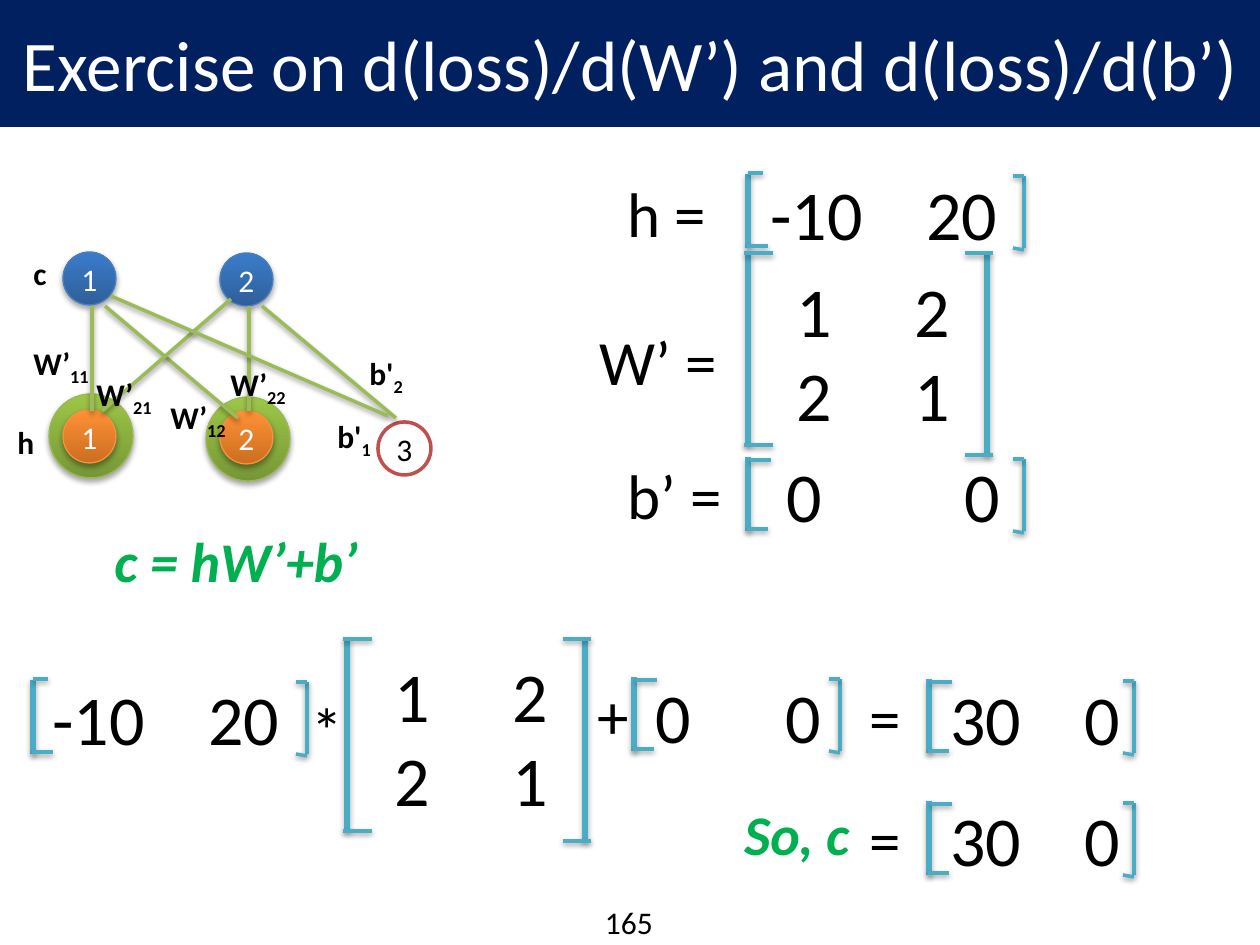
from lxml import etree
from pptx import Presentation
from pptx.dml.color import RGBColor
from pptx.enum.shapes import MSO_CONNECTOR, MSO_SHAPE
from pptx.enum.text import MSO_ANCHOR, MSO_AUTO_SIZE, PP_ALIGN
from pptx.oxml import parse_xml
from pptx.oxml.ns import nsdecls, qn
from pptx.util import Emu, Pt

STRAIGHT = MSO_CONNECTOR.STRAIGHT
OVAL = MSO_SHAPE.OVAL
MIDDLE = MSO_ANCHOR.MIDDLE
NO_AUTOSIZE = MSO_AUTO_SIZE.NONE
CENTER, LEFT = PP_ALIGN.CENTER, PP_ALIGN.LEFT

PX = 914400 // 126
FONT = "Calibri"
COLORS = {
    "navy": "002060", "white": "FFFFFF", "black": "000000", "formula": "00B050",
    "edge": "9BBB59", "bracket": "4BACC6", "bias": "C0504D",
}
# gradient start, gradient end, outline
NODE_STYLES = {
    "halo": ("779737", "9DC746", "98B955"),
    "output": ("2F5F99", "3A7CCB", "4B7EBC"),
    "hidden": ("CC6E20", "FF9136", "F69240"),
}

TITLE = "Exercise on d(loss)/d(W’) and d(loss)/d(b’)"

# style, text, left, top, diameter
NODES = [
    ("halo", "", 206, 397, 84),
    ("halo", "", 49, 394, 84),
    ("output", "1", 63, 252, 53),
    ("output", "2", 220, 253, 53),
    ("hidden", "1", 63, 410, 53),
    ("hidden", "2", 220, 411, 53),
    ("bias", "3", 378, 422, 53),
]
EDGES = [
    (92, 306, 92, 411), (249, 306, 249, 411), (262, 306, 396, 418),
    (105, 306, 238, 418), (231, 299, 102, 411), (111, 296, 388, 416),
]
# text, subscript, left, top, width
NODE_LABELS = [
    ("W’", "11", 21, 338, 86), ("W’", "21", 84, 369, 86),
    ("W’", "12", 158, 392, 86), ("W’", "22", 218, 359, 86),
    ("b'", "1", 325, 411, 62), ("b'", "2", 357, 348, 62),
    ("h", "", 5, 417, 44), ("c", "", 21, 248, 40),
]
# text, left, top, width
TERMS = [
    ("h =", 615, 168, 108), ("W’ =", 587, 316, 148), ("b’ =", 615, 450, 124),
    ("*", 299, 684, 58), ("+", 585, 670, 58),
    ("=", 857, 672, 58), ("=", 857, 794, 58),
]
FORMULAS = [("c = hW’+b’", 102, 520, 298), ("So, c", 732, 793, 200)]

# values, text left, text top, tab, bracket left, right, top, top tick (start, end, drop)
LONG_TICK, SHORT_TICK = (2, 23, 3), (0, 15, -1)
VECTORS = [
    (("-10", "20"), 758, 164, 156, 748, 1024, 174, SHORT_TICK),
    (("0", "0"), 774, 446, 178, 748, 1024, 457, LONG_TICK),
    (("-10", "20"), 40, 669, 156, 33, 307, 680, SHORT_TICK),
    (("0", "0"), 643, 667, 130, 634, 840, 677, LONG_TICK),
    (("30", "0"), 938, 669, 134, 929, 1134, 679, LONG_TICK),
    (("30", "0"), 938, 790, 134, 929, 1134, 801, LONG_TICK),
]
MATRIX = [("1", "2"), ("2", "1")]
MATRIX_TAB = 118
# text left, text top, bracket left, right, top
MATRIX_PLACES = [(784, 261, 748, 987, 253), (382, 646, 347, 585, 639)]


def px(*values):
    return [Emu(value * PX) for value in values]


def rgb(name):
    return RGBColor.from_string(COLORS.get(name, name))


def add_run(paragraph, text, size, color="black", bold=False, italic=False):
    run = paragraph.add_run()
    run.text = text
    font = run.font
    font.name, font.size, font.bold, font.italic = FONT, Pt(size), bold, italic
    font.color.rgb = rgb(color)
    return run


def add_text(slide, lines, left, top, width, height, size, tab=None, align=LEFT, **style):
    box = slide.shapes.add_textbox(*px(left, top, width, height))
    frame = box.text_frame
    frame.word_wrap = True
    for index, line in enumerate(lines):
        paragraph = frame.paragraphs[0] if index == 0 else frame.add_paragraph()
        paragraph.alignment = align
        if tab:
            paragraph._p.get_or_add_pPr().append(parse_xml(
                f'<a:tabLst {nsdecls("a")}><a:tab pos="{tab * PX}" algn="l"/></a:tabLst>'))
        add_run(paragraph, line, size, **style)
    return box


def add_shadow(shape, distance, opacity):
    properties = shape._element.spPr
    effects = properties.find(qn("a:effectLst"))
    if effects is None:
        effects = etree.SubElement(properties, qn("a:effectLst"))
    effects.append(parse_xml(
        f'<a:outerShdw {nsdecls("a")} blurRad="40000" dist="{distance}" dir="5400000" '
        f'rotWithShape="0"><a:srgbClr val="000000"><a:alpha val="{opacity}000"/>'
        '</a:srgbClr></a:outerShdw>'))


def add_line(slide, x1, y1, x2, y2, color="bracket", width=2):
    line = slide.shapes.add_connector(STRAIGHT, *px(x1, y1, x2, y2))
    line.line.color.rgb = rgb(color)
    line.line.width = Pt(width)
    if width > 2:
        add_shadow(line, 23000, 35)
    else:
        add_shadow(line, 20000, 38)


def add_node(slide, style, text, left, top, diameter):
    node = slide.shapes.add_shape(OVAL, *px(left, top, diameter, diameter))
    node.shadow.inherit = False
    if style == "bias":
        node.fill.solid()
        node.fill.fore_color.rgb = rgb("white")
        node.line.color.rgb = rgb("bias")
        node.line.width = Pt(2)
    else:
        *stops, outline = NODE_STYLES[style]
        node.fill.gradient()
        node.fill.gradient_angle = 90
        for stop, color in zip(node.fill.gradient_stops, stops):
            stop.color.rgb = rgb(color)
        node.line.color.rgb = rgb(outline)
        node.line.width = Pt(0.75)
        add_shadow(node, 23000, 35)
    if text:
        frame = node.text_frame
        frame.margin_left = frame.margin_right = 0
        frame.vertical_anchor = MIDDLE
        frame.paragraphs[0].alignment = CENTER
        add_run(frame.paragraphs[0], text, 18, "black" if style == "bias" else "white")


def add_vector_brackets(slide, left, right, top, tick):
    start, end, drop = tick
    add_line(slide, left, top, left, top + 74, width=3)
    for segment in [
        (left + start, top + drop, left + end, top + drop),
        (left - 1, top + 72, left + 20, top + 72),
        (right, top + 2, right, top + 74),
        (right, top + 76, right - 11, top + 74),
        (right, top + 2, right - 11, top + 2),
    ]:
        add_line(slide, *segment)


def add_matrix_brackets(slide, left, right, top):
    for x, height, tick_start, tick_end in [(left, 192, -4, 25), (right, 202, -22, 6)]:
        add_line(slide, x, top, x, top + height, width=3)
        for y in (top, top + height):
            add_line(slide, x + tick_start, y, x + tick_end, y)


def add_title(slide):
    title = slide.shapes.title
    title.left, title.top, title.width, title.height = px(0, 0, 1260, 126)
    title.fill.solid()
    title.fill.fore_color.rgb = rgb("navy")
    title.line.color.rgb = rgb("navy")
    title.line.width = Pt(0.75)
    frame = title.text_frame
    frame.auto_size = NO_AUTOSIZE
    frame.vertical_anchor = MIDDLE
    frame.paragraphs[0].alignment = CENTER
    add_run(frame.paragraphs[0], TITLE, 40.7, "white")


def main():
    presentation = Presentation()
    presentation.slide_width, presentation.slide_height = px(1260, 945)
    slide = presentation.slides.add_slide(presentation.slide_layouts[5])
    add_title(slide)

    for node in NODES:
        add_node(slide, *node)
    for edge in EDGES:
        add_line(slide, *edge, color="edge")
    for text, subscript, left, top, width in NODE_LABELS:
        box = add_text(slide, [text], left, top, width, 50, 18, bold=True)
        if subscript:
            run = add_run(box.text_frame.paragraphs[0], subscript, 18, bold=True)
            run.font._element.set("baseline", "-25000")

    for values, left, top, tab, *brackets in VECTORS:
        add_vector_brackets(slide, *brackets)
        add_text(slide, ["\t".join(values)], left, top, 260, 97, 40, tab)
    for left, top, *brackets in MATRIX_PLACES:
        add_matrix_brackets(slide, *brackets)
        add_text(slide, ["\t".join(row) for row in MATRIX], left, top, 184, 183, 40, MATRIX_TAB)
    for text, left, top, width in TERMS:
        add_text(slide, [text], left, top, width, 89, 36)
    for text, left, top, width in FORMULAS:
        add_text(slide, [text], left, top, width, 86, 32,
                 color="formula", bold=True, italic=True)
    add_text(slide, ["165"], 577, 897, 104, 48, 18, align=CENTER)
    presentation.save("out.pptx")


if __name__ == "__main__":
    main()
